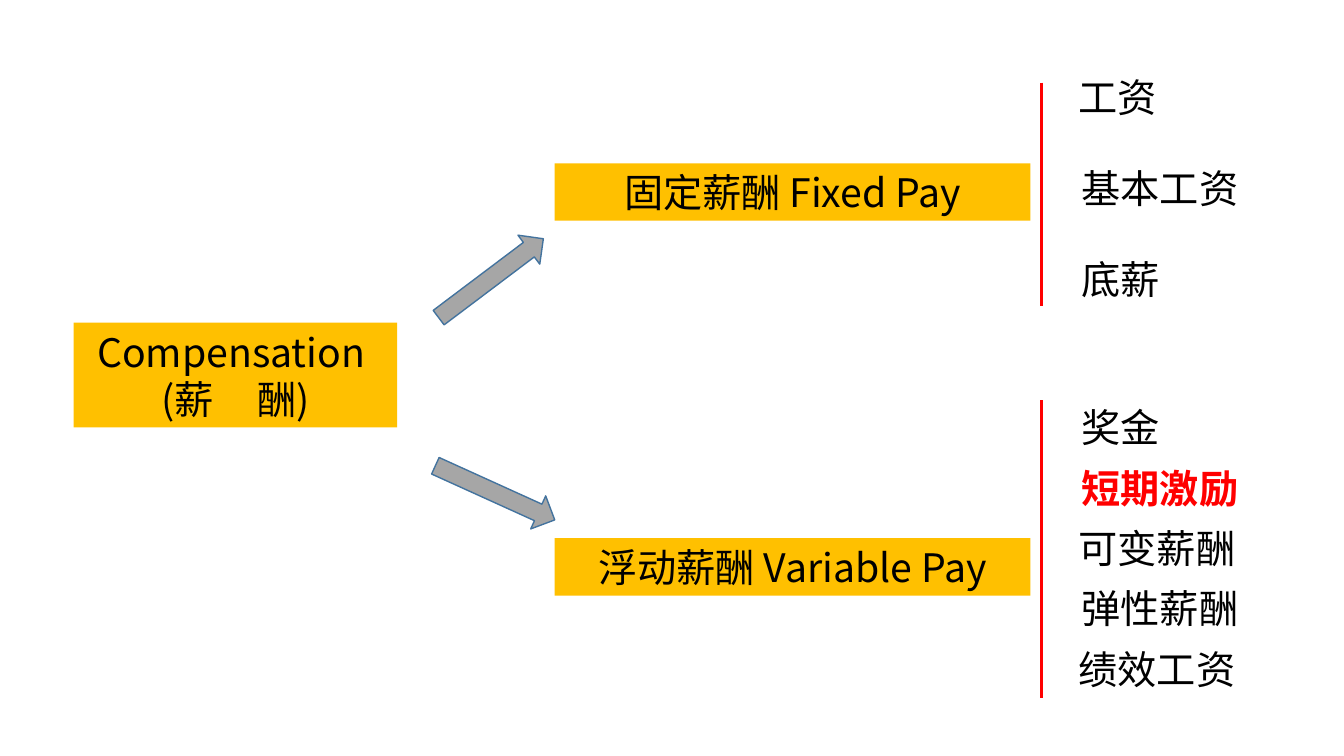
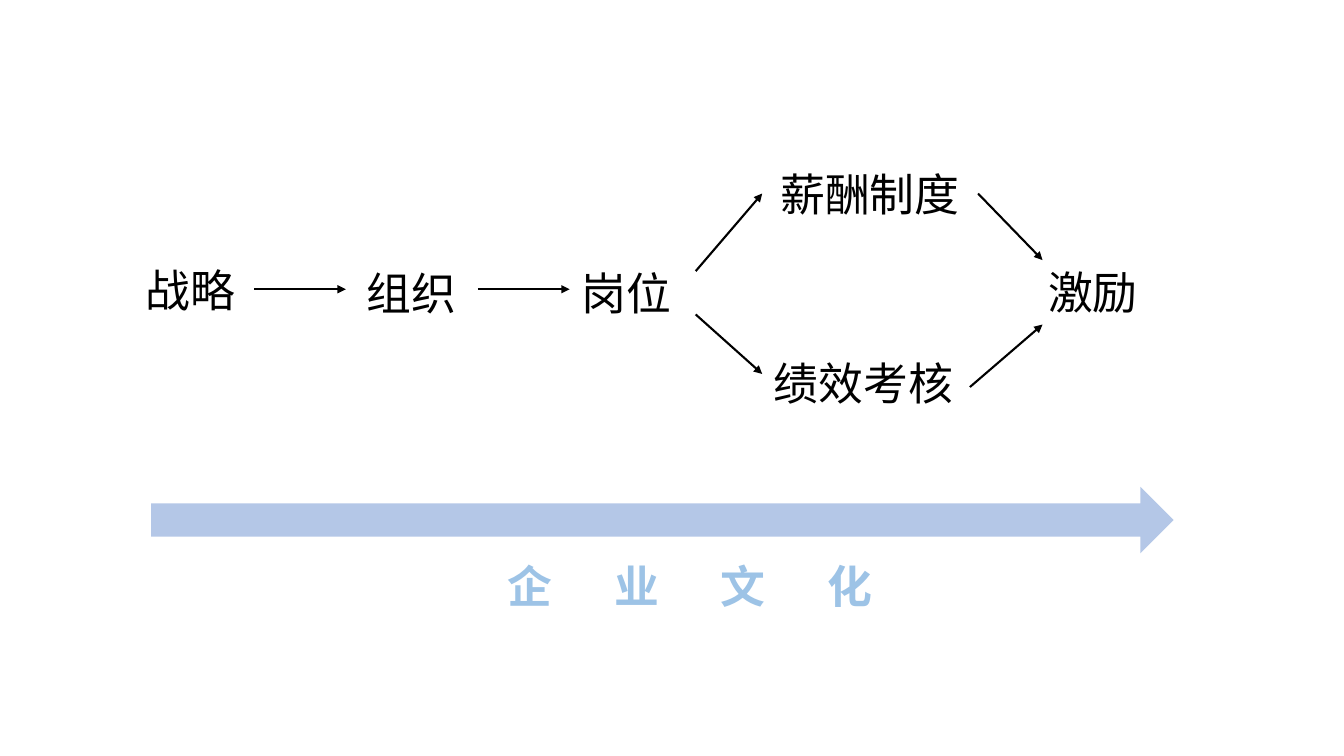
import pptx
import pptx.dml.color
import pptx.enum.shapes
import pptx.enum.text
import pptx.oxml
import pptx.oxml.ns
import pptx.util

Inches = pptx.util.Inches
Pt = pptx.util.Pt
SHAPE = pptx.enum.shapes.MSO_SHAPE
ALIGN = pptx.enum.text.PP_ALIGN

FONT = "Noto Sans CJK SC"
BLACK, RED, GOLD = "000000", "FF0000", "FFC000"
GREY, STEEL, PALE_BLUE, SKY = "A6A6A6", "43739E", "B4C7E7", "9DC3E6"
TERM_HEIGHT, STEP_HEIGHT = 0.57, 0.64


def rgb(value):
    """Return a colour from a hex string."""
    return pptx.dml.color.RGBColor.from_string(value)


def add_xml(parent, tag, **attributes):
    """Append a DrawingML child element with the given attributes."""
    child = pptx.oxml.parse_xml(f"<a:{tag} {pptx.oxml.ns.nsdecls('a')}/>")
    for name, value in attributes.items():
        child.set(name, value)
    parent.append(child)


def write(sp, lines, size, color=BLACK, bold=False, align=ALIGN.CENTER):
    """Write lines made of (text, letter gap) pieces into a shape."""
    tf = sp.text_frame
    tf.word_wrap = True
    tf.vertical_anchor = pptx.enum.text.MSO_ANCHOR.MIDDLE
    tf.margin_top = tf.margin_bottom = Inches(0.05)
    for i, pieces in enumerate(lines):
        p = tf.add_paragraph() if i else tf.paragraphs[0]
        p.alignment = align
        p.line_spacing = Pt(size * 1.2)
        for text, gap in pieces:
            r = p.add_run()
            r.text = text
            r.font.size = Pt(size)
            r.font.name = FONT
            r.font.bold = bold
            r.font.color.rgb = rgb(color)
            add_xml(r.font._element, "ea", typeface=FONT)
            if gap:
                r.font._element.set("spc", str(gap * 100))


def add_block(slide, kind, box, fill, line=None, rotation=0):
    """Add a flat filled preset shape."""
    sp = slide.shapes.add_shape(kind, *map(Inches, box))
    sp.shadow.inherit = False
    sp.rotation = rotation
    sp.fill.solid()
    sp.fill.fore_color.rgb = rgb(fill)
    if line:
        sp.line.color.rgb = rgb(line)
        sp.line.width = Pt(1)
    else:
        sp.line.fill.background()
    return sp


def add_text(slide, box, lines, size, **style):
    """Add a text box."""
    sp = slide.shapes.add_textbox(*map(Inches, box))
    write(sp, lines, size, **style)
    return sp


def add_line(slide, start, end, color, width, arrow=False):
    """Add a straight connector, with an arrowhead at its end if wanted."""
    straight = pptx.enum.shapes.MSO_CONNECTOR.STRAIGHT
    cxn = slide.shapes.add_connector(straight, *map(Inches, start + end))
    cxn.line.color.rgb = rgb(color)
    cxn.line.width = Pt(width)
    if arrow:
        add_xml(cxn.line._get_or_add_ln(), "tailEnd", type="triangle")
    add_xml(cxn._element.spPr, "effectLst")
    return cxn


def add_terms(slide, top, step, terms, key_term=None):
    """Add a column of evenly spaced terms, one of them emphasised."""
    for i, (left, term) in enumerate(terms):
        key = term == key_term
        add_text(slide, (left, top + i * step, 2.12, TERM_HEIGHT), [[(term, 0)]], 28,
                 color=RED if key else BLACK, bold=key, align=ALIGN.LEFT)


def build_compensation(slide):
    """Build the tree of fixed and variable pay."""
    root = add_block(slide, SHAPE.RECTANGLE, (0.73, 3.2, 3.21, 1.04), GOLD)
    write(root, [[("Compensation ", 0)], [("(", 0), ("薪", 31), ("酬)", 0)]], 28)
    for top, label in ((1.62, "固定薪酬 Fixed Pay"), (5.34, "浮动薪酬 Variable Pay")):
        branch = add_block(slide, SHAPE.RECTANGLE, (5.5, top, 4.72, TERM_HEIGHT), GOLD)
        write(branch, [[(label, 0)]], 28)
    for left, top, rotation in ((4.22, 2.58, 323), (4.26, 4.71, 24.4)):
        add_block(slide, SHAPE.RIGHT_ARROW, (left, top, 1.3, 0.36), GREY, STEEL, rotation)
    for top, bottom in ((0.82, 3.04), (3.97, 6.92)):
        add_line(slide, (10.33, top), (10.33, bottom), RED, 2)
    add_terms(slide, 0.68, 0.9, [(10.6, "工资"), (10.63, "基本工资"), (10.63, "底薪")])
    add_terms(slide, 3.95, 0.6, [(10.63, "奖金"), (10.63, "短期激励"), (10.6, "可变薪酬"),
                                 (10.63, "弹性薪酬"), (10.6, "绩效工资")], "短期激励")


def build_strategy(slide):
    """Build the flow from strategy to incentive above the culture arrow."""
    steps = {}
    for left, top, width, label in (
            (1.03, 2.55, 1.72, "战略"), (3.22, 2.58, 1.72, "组织"),
            (5.35, 2.58, 1.72, "岗位"), (7.56, 1.6, 2.14, "薪酬制度"),
            (7.43, 3.48, 2.27, "绩效考核"), (9.98, 2.57, 1.72, "激励")):
        steps[label] = add_text(slide, (left, top, width, STEP_HEIGHT), [[(label, 0)]], 32)
    add_block(slide, SHAPE.RIGHT_ARROW, (1.5, 4.83, 10.14, 0.66), PALE_BLUE)
    add_text(slide, (2.66, 5.49, 8.37, STEP_HEIGHT), [[("企业文", 44), ("化", 0)]], 32,
             color=SKY, bold=True)
    for start, end in (((2.52, 2.87), (3.43, 2.87)), ((4.74, 2.87), (5.65, 2.87)),
                       ((6.9, 3.12), (7.56, 3.71)), ((9.62, 3.84), (10.34, 3.22))):
        add_line(slide, start, end, BLACK, 1.5, arrow=True)
    to_pay = add_line(slide, (6.9, 2.69), (7.56, 1.92), BLACK, 1.5, arrow=True)
    to_pay.end_connect(steps["薪酬制度"], 1)
    from_pay = add_line(slide, (9.7, 1.92), (10.34, 2.58), BLACK, 1.5, arrow=True)
    from_pay.begin_connect(steps["薪酬制度"], 3)


def main():
    """Build and save the presentation."""
    prs = pptx.Presentation()
    prs.slide_width, prs.slide_height = Inches(13.33), Inches(7.5)
    for build in (build_compensation, build_strategy):
        build(prs.slides.add_slide(prs.slide_layouts[6]))
    prs.save("out.pptx")


if __name__ == "__main__":
    main()
